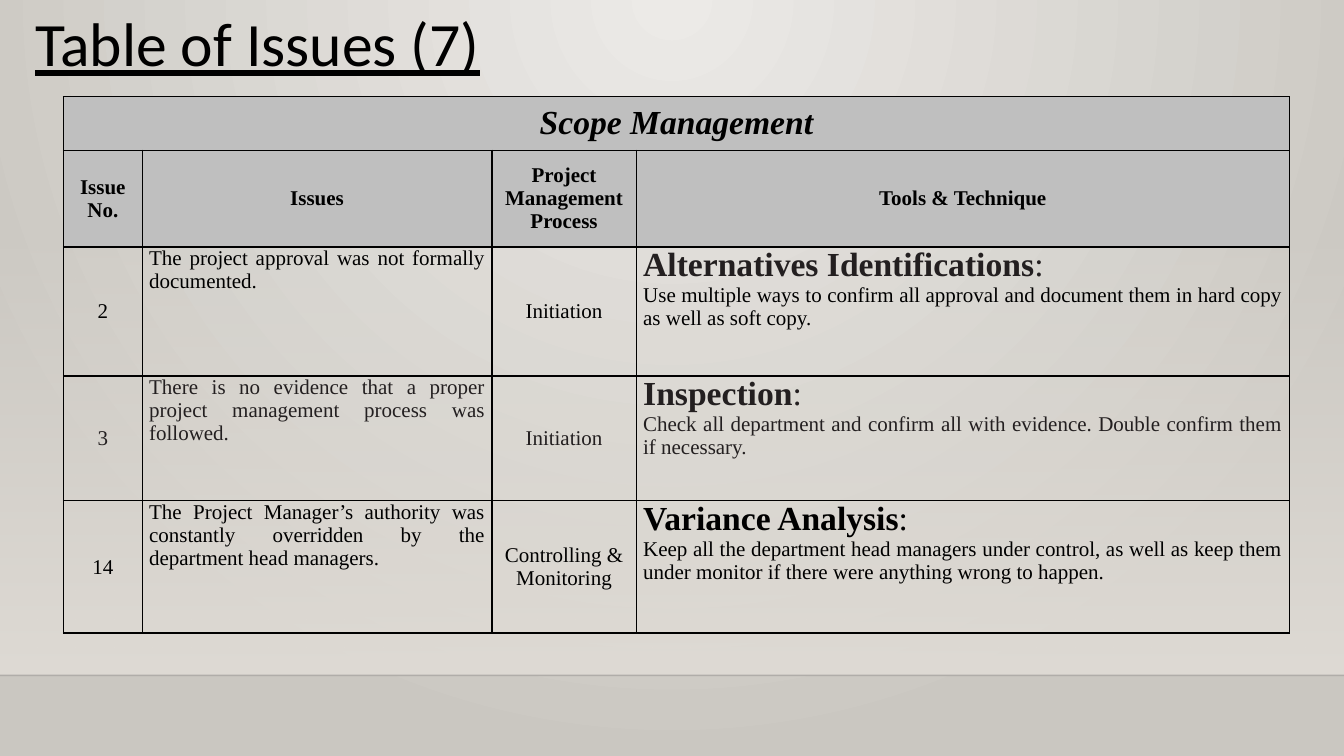
"""Builds the seventh slide of the issues table, on scope management."""
from lxml.etree import SubElement
from pptx import Presentation
from pptx.dml.color import RGBColor
from pptx.enum.shapes import MSO_CONNECTOR, MSO_SHAPE
from pptx.enum.text import MSO_ANCHOR, MSO_AUTO_SIZE, PP_ALIGN
from pptx.oxml import parse_xml
from pptx.oxml.ns import nsdecls, qn
from pptx.util import Inches, Pt

BLACK = RGBColor(0x00, 0x00, 0x00)
CHARCOAL = RGBColor(0x23, 0x1F, 0x20)
HEADER_GRAY = RGBColor(0xBF, 0xBF, 0xBF)
FLOOR_LINE = RGBColor(0x00, 0x00, 0x01)
LIGHT_STONE = RGBColor(0xEC, 0xEA, 0xE7)
DARK_STONE = RGBColor(0xCA, 0xC7, 0xC1)
SAND = RGBColor(0xDF, 0xDB, 0xD5)

SPOTLIGHT = ('<a:path path="circle">'
             '<a:fillToRect l="43000" t="0" r="43000" b="100000"/></a:path>')
DOWNWARD = '<a:lin ang="5400000" scaled="0"/>'

COLUMN_WIDTHS = (0.78, 3.47, 1.43, 6.48)
ROW_HEIGHTS = (0.53, 0.96, 1.28, 1.24, 1.31)
HEADERS = ("Issue No.", "Issues", "Project Management Process", "Tools & Technique")
ISSUES = (
    ("2", "The project approval was not formally documented.", "Initiation",
     "Alternatives Identifications",
     "Use multiple ways to confirm all approval and document them in hard copy "
     "as well as soft copy.",
     BLACK, CHARCOAL),
    ("3", "There is no evidence that a proper project management process was followed.",
     "Initiation", "Inspection",
     "Check all department and confirm all with evidence. Double confirm them "
     "if necessary.",
     CHARCOAL, CHARCOAL),
    ("14", "The Project Manager’s authority was constantly overridden by the "
     "department head managers.", "Controlling & Monitoring", "Variance Analysis",
     "Keep all the department head managers under control, as well as keep them "
     "under monitor if there were anything wrong to happen.",
     BLACK, BLACK),
)


class IssueSlide:
    """Holds the fonts and the current slide, and adds styled elements to it."""

    title_font = "Calibri"
    table_font = "Times New Roman"
    body_size = 15
    heading_size = 24

    def __init__(self, presentation):
        self.slide = presentation.slides.add_slide(presentation.slide_layouts[5])

    def gradient(self, fill, properties, start, end, direction, start_alpha=100):
        """Gives the properties element a two-stop gradient."""
        fill.gradient()
        old = properties.find(qn("a:gradFill"))
        properties.replace(old, parse_xml(
            f'<a:gradFill rotWithShape="1" {nsdecls("a")}><a:gsLst>'
            f'<a:gs pos="0"><a:srgbClr val="{start}">'
            f'<a:alpha val="{start_alpha * 1000}"/></a:srgbClr></a:gs>'
            f'<a:gs pos="100000"><a:srgbClr val="{end}"/></a:gs>'
            f'</a:gsLst>{direction}</a:gradFill>'))

    def background(self):
        """Paints the spotlight behind the slide."""
        fill = self.slide.background.fill
        properties = self.slide.element.cSld.find(qn("p:bg")).find(qn("p:bgPr"))
        self.gradient(fill, properties, LIGHT_STONE, DARK_STONE, SPOTLIGHT)

    def wall(self, left, top, width, height):
        """Adds the band that fades in towards its foot."""
        shape = self.slide.shapes.add_shape(
            MSO_SHAPE.RECTANGLE, Inches(left), Inches(top), Inches(width), Inches(height))
        shape.shadow.inherit = False
        shape.line.fill.background()
        self.gradient(shape.fill, shape.element.spPr, SAND, SAND, DOWNWARD, start_alpha=0)

    def floor_line(self, top, width):
        """Adds the faint line across the slide."""
        line = self.slide.shapes.add_connector(
            MSO_CONNECTOR.STRAIGHT, 0, Inches(top), Inches(width), Inches(top))
        line.line.width = Pt(1)
        line.line.color.rgb = FLOOR_LINE
        properties = line.element.spPr
        color = next(properties.iter(qn("a:srgbClr")))
        SubElement(color, qn("a:alpha"), val="20000")
        SubElement(properties, qn("a:effectLst"))

    def title(self, text, left, top, width, height):
        """Moves and formats the title placeholder."""
        shape = self.slide.shapes.title
        shape.left, shape.top = Inches(left), Inches(top)
        shape.width, shape.height = Inches(width), Inches(height)
        frame = shape.text_frame
        frame.text = text
        frame.word_wrap = True
        frame.auto_size = MSO_AUTO_SIZE.SHAPE_TO_FIT_TEXT
        frame.vertical_anchor = MSO_ANCHOR.TOP
        paragraph = frame.paragraphs[0]
        paragraph.alignment = PP_ALIGN.LEFT
        font = paragraph.runs[0].font
        font.name, font.size = self.title_font, Pt(44)
        font.color.rgb = BLACK
        font.underline = True

    def table(self, left, top):
        """Adds the empty bordered table and returns it."""
        table = self.slide.shapes.add_table(
            len(ROW_HEIGHTS), len(COLUMN_WIDTHS), Inches(left), Inches(top),
            Inches(sum(COLUMN_WIDTHS)), Inches(sum(ROW_HEIGHTS))).table
        table.first_row = table.horz_banding = False
        for column, width in zip(table.columns, COLUMN_WIDTHS):
            column.width = Inches(width)
        for row, height in zip(table.rows, ROW_HEIGHTS):
            row.height = Inches(height)
        for cell in table.iter_cells():
            cell.margin_left = cell.margin_right = Inches(0.07)
            cell.margin_top = cell.margin_bottom = 0
            cell.fill.background()
            self.borders(cell)
        return table

    def borders(self, cell):
        """Draws a thin black line on each side of the cell."""
        properties = cell._tc.get_or_add_tcPr()
        for index, side in enumerate(("lnL", "lnR", "lnT", "lnB")):
            properties.insert(index, parse_xml(
                f'<a:{side} w="12700" {nsdecls("a")}><a:solidFill>'
                f'<a:srgbClr val="{BLACK}"/></a:solidFill></a:{side}>'))

    def run(self, paragraph, text, size, color, bold=False, italic=False):
        """Adds one styled run to a table paragraph."""
        run = paragraph.add_run()
        run.text = text
        font = run.font
        font.name, font.size = self.table_font, Pt(size)
        font.bold, font.italic = bold, italic
        font.color.rgb = color

    def centered(self, cell, text, color=BLACK, **style):
        """Fills a cell with text centred both ways."""
        cell.vertical_anchor = MSO_ANCHOR.MIDDLE
        paragraph = cell.text_frame.paragraphs[0]
        paragraph.alignment = PP_ALIGN.CENTER
        self.run(paragraph, text, style.pop("size", self.body_size), color, **style)

    def header(self, cell, text, **style):
        """Fills a gray heading cell."""
        cell.fill.solid()
        cell.fill.fore_color.rgb = HEADER_GRAY
        self.centered(cell, text, bold=True, **style)

    def justified(self, cell, text, color, technique=None, technique_color=None):
        """Fills a cell with justified text, under a technique name if given."""
        frame = cell.text_frame
        paragraph = frame.paragraphs[0]
        if technique:
            paragraph.alignment = PP_ALIGN.JUSTIFY
            self.run(paragraph, technique, self.heading_size, technique_color, bold=True)
            self.run(paragraph, ":", self.heading_size, technique_color)
            paragraph = frame.add_paragraph()
        paragraph.alignment = PP_ALIGN.JUSTIFY
        self.run(paragraph, text, self.body_size, color)


def main():
    presentation = Presentation()
    presentation.slide_width, presentation.slide_height = Inches(13.33), Inches(7.5)
    page = IssueSlide(presentation)
    page.background()
    page.wall(0, 2.21, 13.33, 4.49)
    page.floor_line(6.7, 13.33)
    page.title("Table of Issues (7)", 0.25, 0, 11.16, 0.84)

    table = page.table(0.63, 0.96)
    table.cell(0, 0).merge(table.cell(0, len(HEADERS) - 1))
    page.header(table.cell(0, 0), "Scope Management", size=page.heading_size, italic=True)
    for column, text in enumerate(HEADERS):
        page.header(table.cell(1, column), text)
    for row, issue in enumerate(ISSUES, start=2):
        number, problem, process, technique, advice, color, technique_color = issue
        page.centered(table.cell(row, 0), number, color)
        page.justified(table.cell(row, 1), problem, color)
        page.centered(table.cell(row, 2), process, color)
        page.justified(table.cell(row, 3), advice, color, technique, technique_color)
    presentation.save("out.pptx")


if __name__ == "__main__":
    main()
